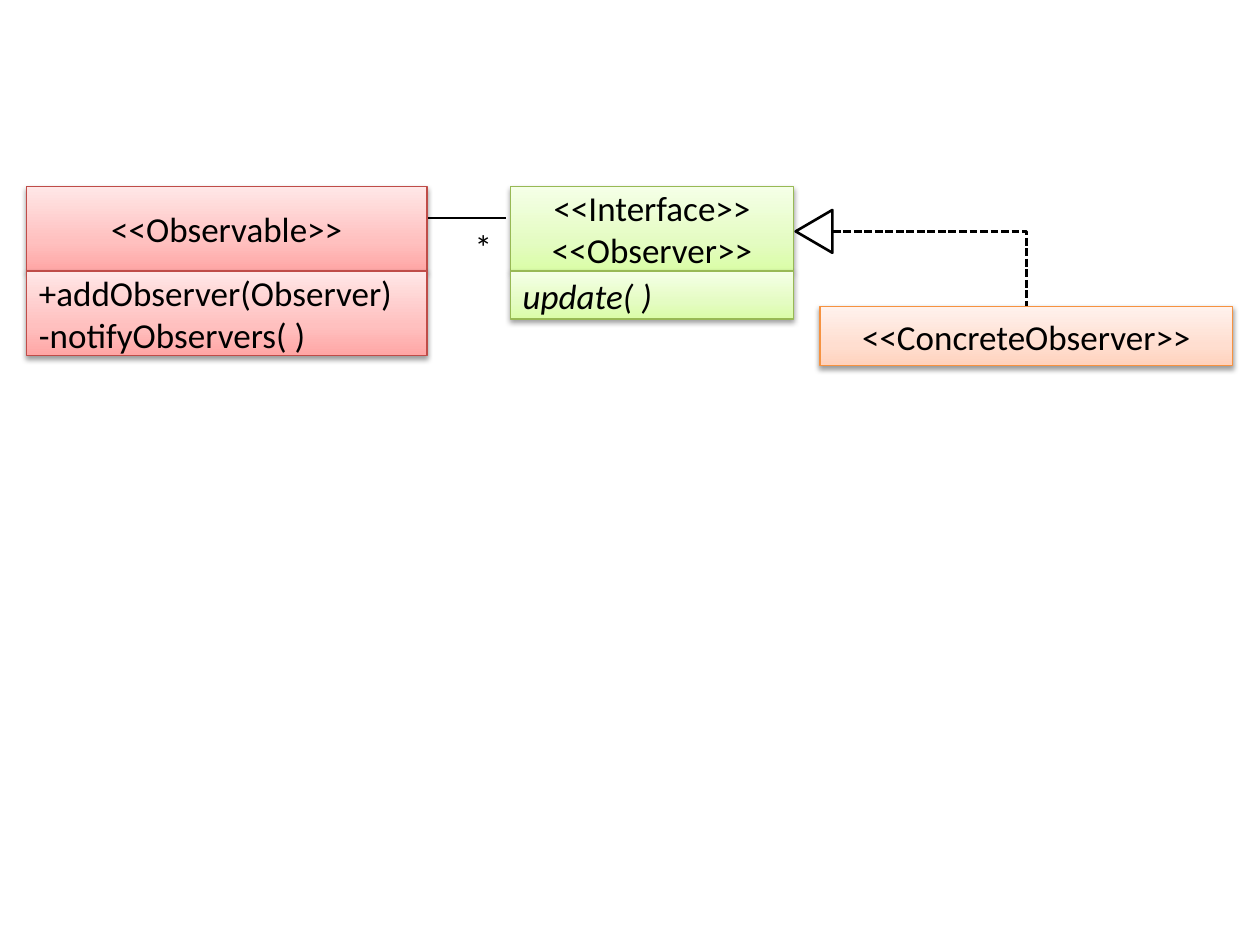
from lxml.etree import SubElement as Sub
from pptx import Presentation as Deck
from pptx.dml.color import RGBColor as Rgb
from pptx.enum.dml import MSO_LINE as Dash
from pptx.enum.shapes import MSO_CONNECTOR as Link, MSO_SHAPE as Form
from pptx.enum.text import MSO_ANCHOR as Anchor, MSO_AUTO_SIZE as Fit, PP_ALIGN as Align
from pptx.oxml.ns import qn
from pptx.util import Pt

INK = {"text": "000000", "red": "BF4C48", "green": "98B955", "orange": "F69240"}
FADE = {
    "red": ("FFA6A5", "FFC0BF", "FFE7E7"),
    "green": ("DAFDA7", "E4FCC2", "F5FFE7"),
    "orange": ("FFD2BD", "FFDED0", "FFF2ED"),
}
STOPS = (0, 35000, 100000)
FONT = {"name": "Calibri", "size": Pt(20)}
TOP, HEAD = 106.7, 48.2
LEFT, WIDE = 15.2, 228.8
MID, SPAN = 291.6, 162


def put(item, vals):
    """Set each named format value on the item."""
    for key, val in vals.items():
        setattr(item, key, val)


def pts(*nums):
    """Turn plain numbers into point lengths."""
    return [Pt(num) for num in nums]


def tint(node, hue):
    """Add an RGB colour element under the node."""
    return Sub(node, qn("a:srgbClr"), val=hue)


def edge(line, hue, width):
    """Give a line its colour and width."""
    line.color.rgb = Rgb.from_string(hue)
    line.width = Pt(width)


def blend(shape, hues):
    """Fill the shape with a gradient that runs upward."""
    grad = shape._element.spPr.makeelement(qn("a:gradFill"), {"rotWithShape": "1"})
    stops = Sub(grad, qn("a:gsLst"))
    for pos, hue in zip(STOPS, hues):
        tint(Sub(stops, qn("a:gs"), pos=str(pos)), hue)
    Sub(grad, qn("a:lin"), ang="16200000", scaled="0")
    shape._element.spPr.find(qn("a:prstGeom")).addnext(grad)


def shade(shape):
    """Cast a soft shadow below the shape."""
    shape.shadow.inherit = False
    glow = Sub(shape._element.spPr.find(qn("a:effectLst")), qn("a:outerShdw"),
               blurRad=str(Pt(3.1)), dist=str(Pt(1.6)), dir="5400000", rotWithShape="0")
    Sub(tint(glow, INK["text"]), qn("a:alpha"), val="38000")


def write(frame, rows, align, slant=None):
    """Write one paragraph for each row of text."""
    frame.text = "\n".join(rows)
    for para in frame.paragraphs:
        para.alignment = align
        put(para.font, {**FONT, "italic": slant})
        para.font.color.rgb = Rgb.from_string(INK["text"])


def box(slide, area, kind, rows, align=Align.CENTER, slant=None):
    """Draw one compartment of a class."""
    shape = slide.shapes.add_shape(Form.RECTANGLE, *pts(*area))
    blend(shape, FADE[kind])
    edge(shape.line, INK[kind], 0.75)
    shade(shape)
    put(shape.text_frame, {"vertical_anchor": Anchor.MIDDLE, "word_wrap": True})
    write(shape.text_frame, rows, align, slant)


def wire(slide, kind, ends):
    """Draw a black connector between two points."""
    link = slide.shapes.add_connector(kind, *pts(*ends))
    edge(link.line, INK["text"], 1.5)
    Sub(link._element.spPr, qn("a:effectLst"))
    return link


def bend(slide, ends):
    """Draw a dashed connector with a single corner."""
    link = wire(slide, Link.ELBOW, ends)
    link.line.dash_style = Dash.SQUARE_DOT
    link._element.spPr.find(qn("a:prstGeom")).set("prst", "bentConnector2")


def label(slide, area, text):
    """Add a centred text label."""
    frame = slide.shapes.add_textbox(*pts(*area)).text_frame
    put(frame, {"word_wrap": True, "auto_size": Fit.SHAPE_TO_FIT_TEXT})
    write(frame, [text], Align.CENTER)


def tip(slide, area):
    """Draw the hollow triangle of a realization, pointing left."""
    shape = slide.shapes.add_shape(Form.ISOSCELES_TRIANGLE, *pts(*area))
    put(shape, {"rotation": 270})
    shape.fill.background()
    edge(shape.line, INK["text"], 1.5)
    shape.shadow.inherit = False


def main():
    """Build the observer class diagram."""
    deck = Deck()
    put(deck, {"slide_width": Pt(720), "slide_height": Pt(540)})
    slide = deck.slides.add_slide(deck.slide_layouts[6])
    low = TOP + HEAD
    box(slide, (MID, TOP, SPAN, HEAD), "green", ["<<Interface>>", "<<Observer>>"])
    wire(slide, Link.STRAIGHT, (205.2, 124.6, 289.4, 124.6))
    box(slide, (468.6, 175, 235.8, 34), "orange", ["<<ConcreteObserver>>"])
    box(slide, (MID, low, SPAN, 27.4), "green", ["update( )"], Align.LEFT, True)
    box(slide, (LEFT, TOP, WIDE, HEAD), "red", ["<<Observable>>"])
    box(slide, (LEFT, low, WIDE, HEAD), "red",
        ["+addObserver(Observer)", "-notifyObservers( )"], Align.LEFT)
    label(slide, (261.4, 125.3, 29.5, 31.7), "*")
    bend(slide, (475.9, 132.3, 586.5, 175))
    tip(slide, (452.9, 121.7, 24.5, 21))
    deck.save("out.pptx")


if __name__ == "__main__":
    main()
